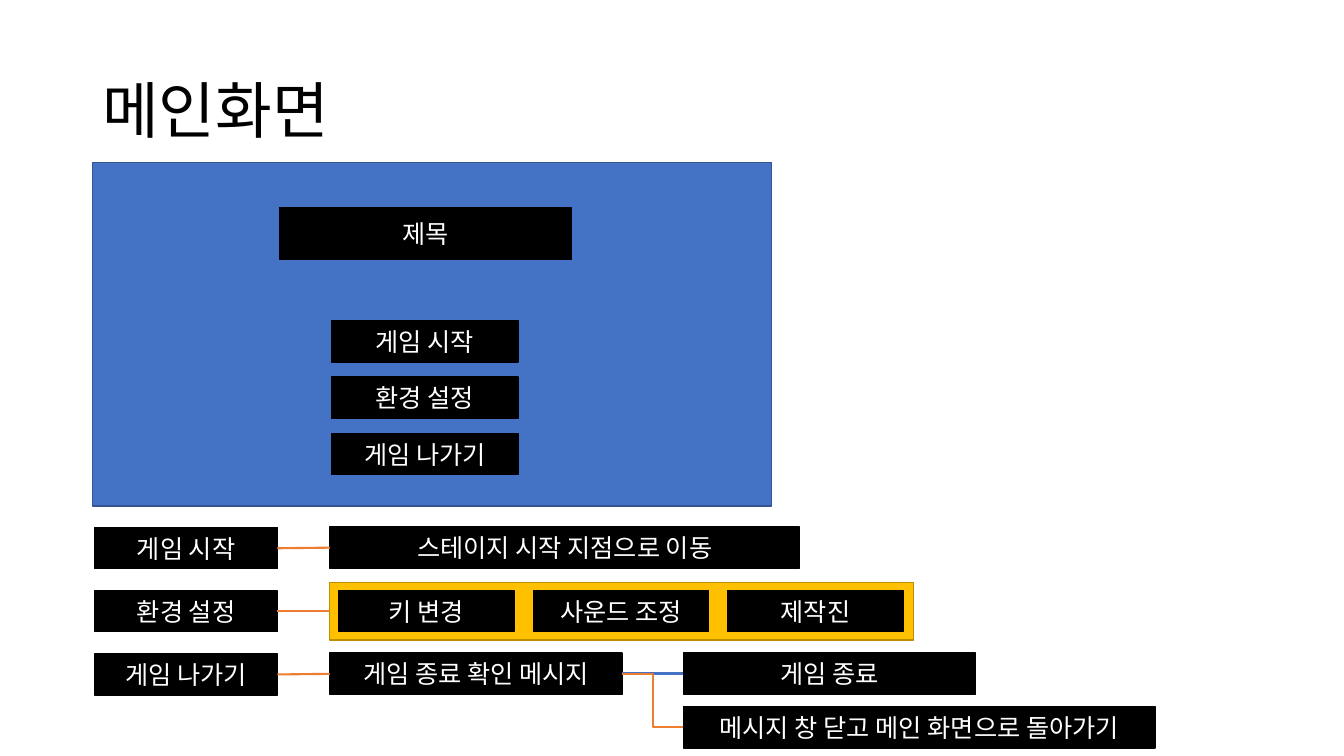
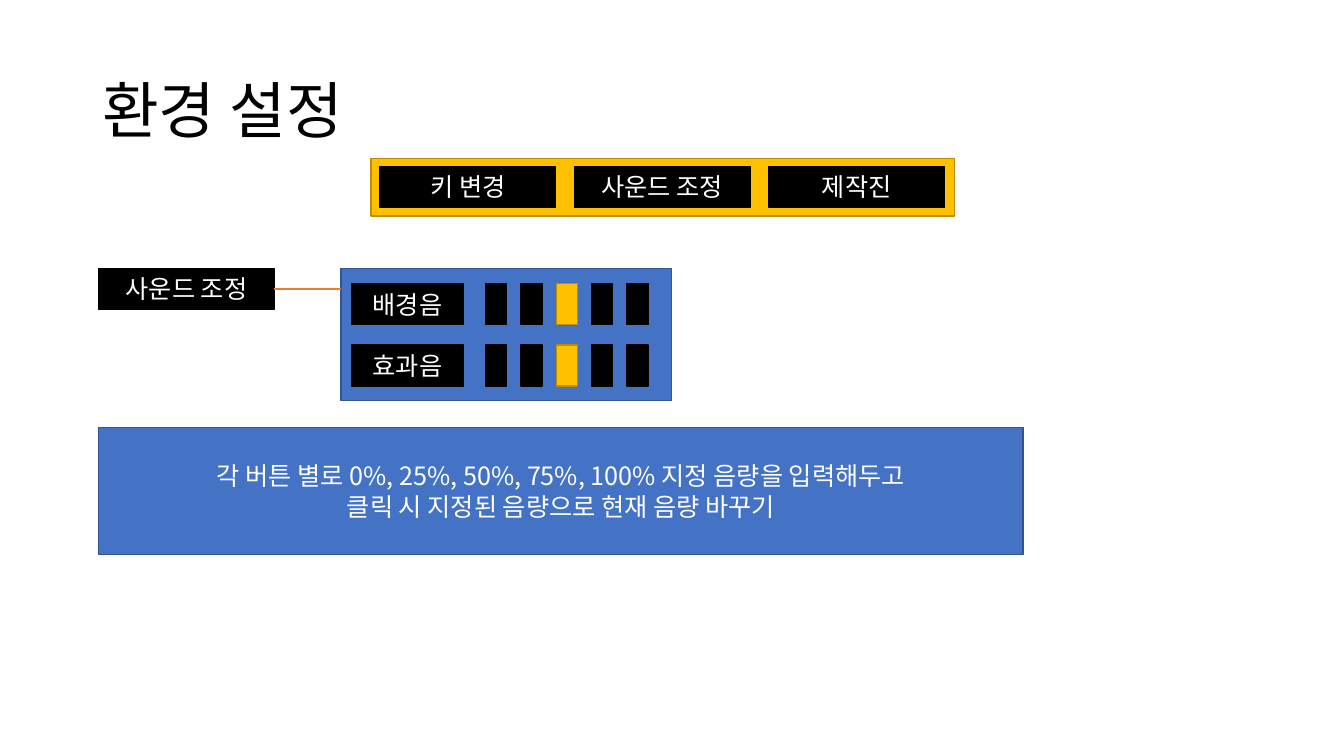
"""Build two slides that sketch a game's main screen and its settings screen."""
from pptx import Presentation
from pptx.dml.color import RGBColor
from pptx.enum.shapes import MSO_CONNECTOR as LINE, MSO_SHAPE as SHAPE
from pptx.enum.text import MSO_ANCHOR as ANCHOR, PP_ALIGN as ALIGN
from pptx.oxml.ns import qn
from pptx.util import Cm, Pt
from lxml.etree import SubElement

FONT = "Noto Sans CJK KR"
BLACK, WHITE, ORANGE = "000000", "FFFFFF", "ED7D31"
BLUE, YELLOW = "4472C4", "FFC000"
OUTLINE = {BLACK: BLACK, BLUE: "325491", YELLOW: "BD8E00"}
BUTTON_H = 1.04
OPTION_W = 4.42
color = RGBColor.from_string


def box(s, x, y, w, h, text="", fill=BLACK, size=18):
    """Add a filled rectangle with centred text, or a left-aligned text box if fill is None."""
    frame = Cm(x), Cm(y), Cm(w), Cm(h)
    if fill:
        sp = s.shapes.add_shape(SHAPE.RECTANGLE, *frame)
        sp.shadow.inherit = False
        sp.fill.solid()
        sp.fill.fore_color.rgb = color(fill)
        sp.line.color.rgb = color(OUTLINE[fill])
        sp.line.width = Pt(1)
    else:
        sp = s.shapes.add_textbox(*frame)
    tf = sp.text_frame
    tf.word_wrap = True
    tf.vertical_anchor = ANCHOR.MIDDLE
    if text:
        tf.text = text
        for p in tf.paragraphs:
            p.alignment = ALIGN.CENTER if fill else ALIGN.LEFT
            p.font.size = Pt(size)
            p.font.name = FONT
            p.font.color.rgb = color(WHITE if fill else BLACK)
            SubElement(p._p.pPr.find(qn("a:defRPr")), qn("a:ea"), typeface=FONT)
    return sp


def link(s, start, end, kind=LINE.STRAIGHT, rgb=ORANGE, width=1.5, join=True):
    """Connect the right side of start to the left side of end, level with start if not joined."""
    c = s.shapes.add_connector(kind, 0, 0, end.left, start.top + start.height // 2)
    c.begin_connect(start, 3)
    if join:
        end_site = 1
        c.end_connect(end, end_site)
    c.line.color.rgb = color(rgb)
    c.line.width = Pt(width)
    SubElement(c._element.spPr, qn("a:effectLst"))


prs = Presentation()
prs.slide_width, prs.slide_height = Cm(33.87), Cm(19.05)

slides, option_bars = [], []
for title, bar_x, bar_y in [("메인화면", 8.31, 14.68), ("환경 설정", 9.35, 3.99)]:
    s = prs.slides.add_slide(prs.slide_layouts[6])
    heading = box(s, 2.33, 1.02, 29.21, 3.68, title, None, 44)
    heading.text_frame.paragraphs[0].line_spacing = 0.9
    bar = box(s, bar_x, bar_y, 14.71, 1.45, fill=YELLOW)
    for i, option in enumerate(["키 변경", "사운드 조정", "제작진"]):
        box(s, bar_x + 0.23 + 4.9 * i, bar_y + 0.2, OPTION_W, BUTTON_H, option)
    slides.append(s)
    option_bars.append(bar)
main, settings = slides

box(main, 2.33, 4.09, 17.12, 8.66, fill=BLUE)
box(main, 7.04, 5.23, 7.37, 1.3, "제목")
go_stage = box(main, 8.31, 13.28, 11.84, BUTTON_H, "스테이지 시작 지점으로 이동")
confirm = box(main, 8.31, 16.46, 7.37, BUTTON_H, "게임 종료 확인 메시지")
quit_game = box(main, 17.22, 16.46, 7.37, BUTTON_H, "게임 종료")
go_back = box(main, 17.22, 17.81, 11.89, BUTTON_H, "메시지 창 닫고 메인 화면으로 돌아가기")

menu = [("게임 시작", go_stage), ("환경 설정", option_bars[0]), ("게임 나가기", confirm)]
for i, (label, target) in enumerate(menu):
    box(main, 8.36, 8.08 + 1.42 * i, 4.7, BUTTON_H, label)
    link(main, box(main, 2.39, 13.3 + 1.59 * i, 4.6, 1.03, label), target)
link(main, confirm, quit_game, rgb=BLUE, width=2.25)
link(main, confirm, go_back, LINE.ELBOW)

sound = box(settings, 2.49, 6.76, OPTION_W, BUTTON_H, "사운드 조정")
panel = box(settings, 8.59, 6.76, 8.33, 3.33, fill=BLUE)
link(settings, sound, panel, join=False)
for row, label in enumerate(["배경음", "효과음"]):
    y = 7.14 + 1.55 * row
    box(settings, 8.86, y, 2.82, BUTTON_H, label)
    for level in range(5):
        box(settings, 12.24 + 0.89 * level, y, 0.53, BUTTON_H, fill=YELLOW if level == 2 else BLACK)
box(settings, 2.49, 10.77, 23.29, 3.2,
    "각 버튼 별로 0%, 25%, 50%, 75%, 100% 지정 음량을 입력해두고\n클릭 시 지정된 음량으로 현재 음량 바꾸기", BLUE)

prs.save("out.pptx")
